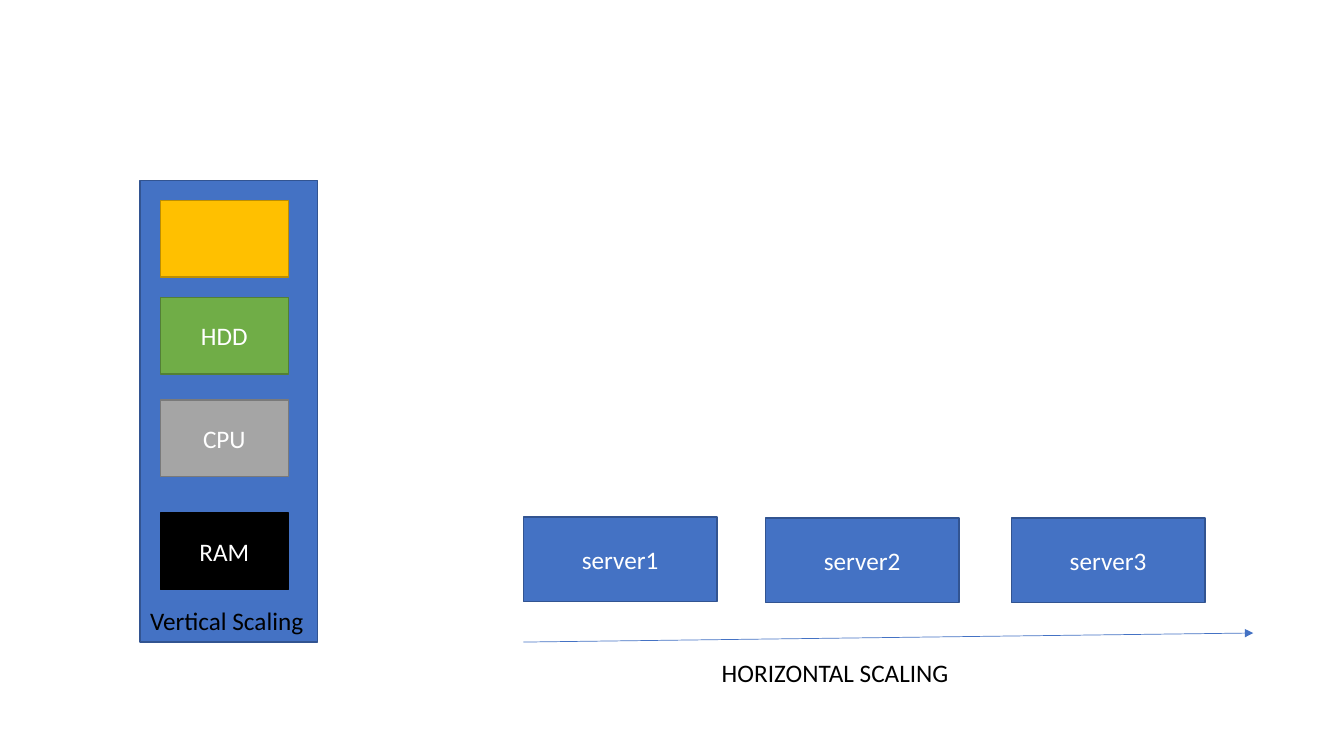
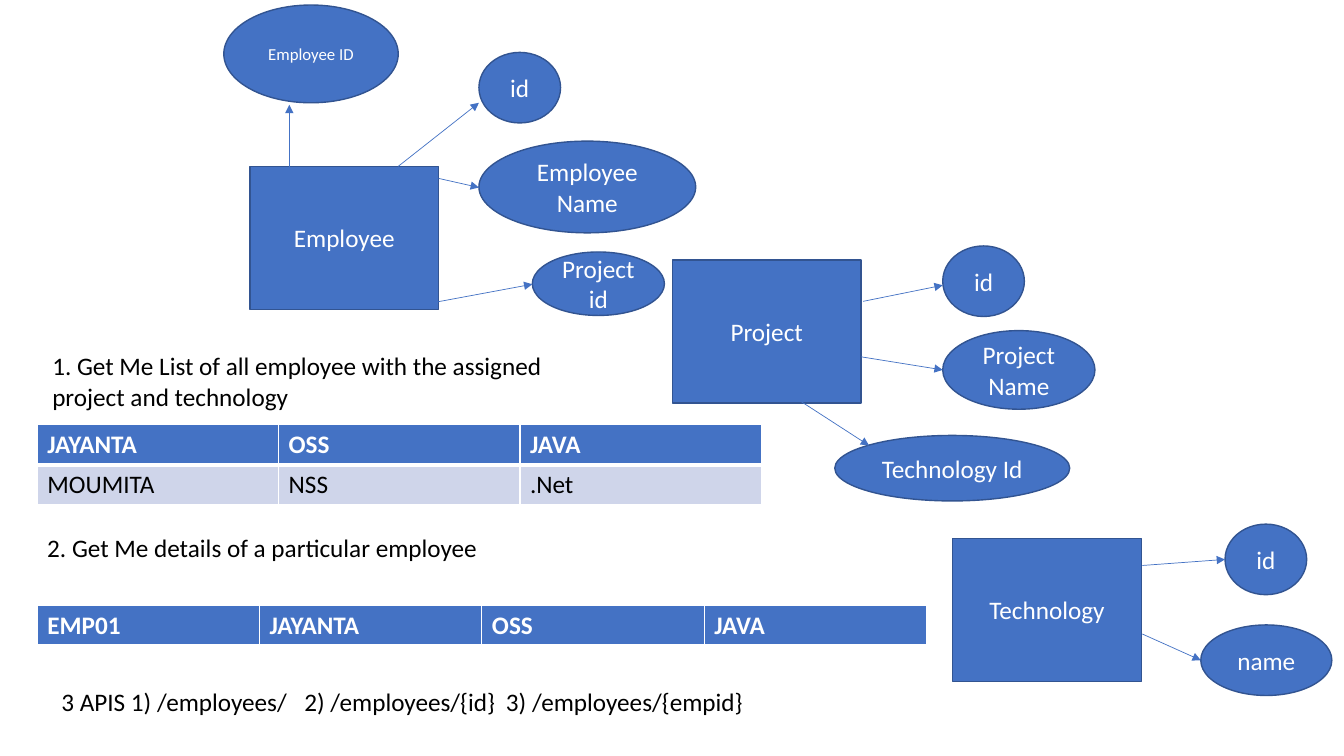
"""Build two slides: server scaling, and an employee data model with its queries."""
from lxml import etree
from pptx import Presentation
from pptx import util as u
from pptx.dml.color import RGBColor
from pptx.enum import shapes, text
from pptx.oxml import ns

FONT = "Calibri"
BLUE, NAVY, PALE = "4472C4", "325491", "CFD5EA"
WHITE, BLACK = "FFFFFF", "000000"
RECT, OVAL = shapes.MSO_SHAPE.RECTANGLE, shapes.MSO_SHAPE.OVAL

TOWER = (1.39, 1.79, 1.76, 4.58)
PART_LEFT, PART_SIZE = 1.59, (1.27, 0.76)
PARTS = [
    ("", 1.99, "FFC000", "BD8E00"),
    ("HDD", 2.95, "70AD47", "538035"),
    ("CPU", 3.97, "A5A5A5", "7A7A7A"),
    ("RAM", 5.09, BLACK, BLACK),
]
SERVER_SIZE = (1.92, 0.84)
SERVERS = [("server1", 5.19, 5.13), ("server2", 7.59, 5.14), ("server3", 10.03, 5.14)]
GROWTH_ARROW = (5.19, 6.37, 12.43, 6.28)
SCALING_LABELS = [
    ("Vertical Scaling", (1.39, 5.96, 2.44, 0.4)),
    ("HORIZONTAL SCALING", (7.06, 6.47, 4.58, 0.4)),
]

ENTITY_SIZE = (1.87, 1.42)
ENTITIES = [("Employee", 2.48, 1.65), ("Project", 6.67, 2.58), ("Technology", 9.45, 5.34)]
ATTRIBUTES = [
    ("Employee ID", (2.22, 0.05, 1.73, 0.97), 12),
    ("id", (4.75, 0.52, 0.81, 0.7), 18),
    ("Employee Name", (4.75, 1.4, 2.15, 0.91), 18),
    ("Project id", (5.28, 2.5, 1.31, 0.63), 18),
    ("id", (9.35, 2.44, 0.81, 0.7), 18),
    ("Project Name", (9.35, 3.28, 1.51, 0.78), 18),
    ("Technology Id", (8.28, 4.32, 2.33, 0.65), 18),
    ("id", (12.15, 5.2, 0.81, 0.7), 18),
    ("name", (11.91, 6.2, 1.3, 0.7), 18),
]
ATTRIBUTE_ARROWS = [
    (2.87, 1.77, 2.87, 1.04),
    (3.95, 1.65, 4.75, 1.02),
    (4.35, 1.77, 4.75, 1.86),
    (4.31, 3, 5.28, 2.82),
    (8.56, 2.99, 9.35, 2.83),
    (8.54, 3.54, 9.35, 3.67),
    (7.94, 3.98, 8.62, 4.42),
    (11.33, 5.61, 12.15, 5.55),
    (11.33, 6.29, 11.91, 6.55),
]
QUERIES = [
    ("1. Get Me List of all employee with the assigned project and technology",
     (0.42, 3.43, 5.71, 0.71), ()),
    ("2. Get Me details of a particular employee", (0.37, 5.23, 5.71, 0.4), ()),
    ("3 APIS 1) /employees/\t2) /employees/{id}\t3) /employees/{empid}",
     (0.51, 6.76, 8.12, 0.4), (2.41, 4.41)),
]
ROW_HEIGHT = 0.4
TABLES = [
    ((0.37, 4.21, 7.18), [("JAYANTA", "OSS", "JAVA"), ("MOUMITA", "NSS", ".Net")]),
    ((0.37, 6.01, 8.82), [("EMP01", "JAYANTA", "OSS", "JAVA")]),
]


def color(value):
    return RGBColor.from_string(value)


def inches(values):
    return [u.Inches(value) for value in values]


def child(parent, tag, **attributes):
    return etree.SubElement(parent, ns.qn(tag), attributes)


def write(frame, words, size=18, ink=BLACK, bold=False, align=text.PP_ALIGN.LEFT, tabs=()):
    para = frame.paragraphs[0]
    para.alignment = align
    span = para.add_run()
    span.text = words
    span.font.name, span.font.size, span.font.bold = FONT, u.Pt(size), bold
    span.font.color.rgb = color(ink)
    if tabs:
        stops = child(para._p.get_or_add_pPr(), "a:tabLst")
        for stop in inches(tabs):
            child(stops, "a:tab", pos=str(stop), algn="l")


def add_box(page, kind, place, words="", fill=BLUE, edge=NAVY, size=18):
    box = page.shapes.add_shape(kind, *inches(place))
    box.shadow.inherit = False
    box.fill.solid()
    box.fill.fore_color.rgb = color(fill)
    box.line.color.rgb = color(edge)
    box.line.width = u.Pt(1)
    if words:
        box.text_frame.vertical_anchor = text.MSO_ANCHOR.MIDDLE
        write(box.text_frame, words, size=size, ink=WHITE, align=text.PP_ALIGN.CENTER)


def add_label(page, place, words, tabs=()):
    frame = page.shapes.add_textbox(*inches(place)).text_frame
    frame.word_wrap = True
    frame.auto_size = text.MSO_AUTO_SIZE.SHAPE_TO_FIT_TEXT
    write(frame, words, tabs=tabs)


def add_arrow(page, ends):
    arrow = page.shapes.add_connector(shapes.MSO_CONNECTOR.STRAIGHT, *inches(ends))
    arrow.line.color.rgb = color(BLUE)
    arrow.line.width = u.Pt(0.5)
    child(arrow.line._get_or_add_ln(), "a:tailEnd", type="triangle")
    child(arrow._element.spPr, "a:effectLst")


def add_borders(cell, header):
    properties = cell._tc.get_or_add_tcPr()
    widths = {"L": 1, "R": 1, "T": 1 if header else 3, "B": 3 if header else 1}
    for side, width in widths.items():
        border = child(properties, f"a:ln{side}", w=str(u.Pt(width)))
        child(child(border, "a:solidFill"), "a:srgbClr", val=WHITE)


def add_grid(page, place, rows):
    left, top, width = place
    size = (left, top, width, ROW_HEIGHT * len(rows))
    grid = page.shapes.add_table(len(rows), len(rows[0]), *inches(size)).table
    for row, values in enumerate(rows):
        header = row == 0
        for column, value in enumerate(values):
            cell = grid.cell(row, column)
            add_borders(cell, header)
            cell.fill.solid()
            cell.fill.fore_color.rgb = color(BLUE if header else PALE)
            write(cell.text_frame, value, ink=WHITE if header else BLACK, bold=header)


def build_scaling(page):
    add_box(page, RECT, TOWER)
    for name, top, fill, edge in PARTS:
        add_box(page, RECT, (PART_LEFT, top, *PART_SIZE), name, fill, edge)
    for name, left, top in SERVERS:
        add_box(page, RECT, (left, top, *SERVER_SIZE), name)
    add_arrow(page, GROWTH_ARROW)
    for words, place in SCALING_LABELS:
        add_label(page, place, words)


def build_model(page):
    for name, left, top in ENTITIES:
        add_box(page, RECT, (left, top, *ENTITY_SIZE), name)
    for name, place, size in ATTRIBUTES:
        add_box(page, OVAL, place, name, size=size)
    for ends in ATTRIBUTE_ARROWS:
        add_arrow(page, ends)
    for words, place, tabs in QUERIES:
        add_label(page, place, words, tabs)
    for place, rows in TABLES:
        add_grid(page, place, rows)


deck = Presentation()
deck.slide_width, deck.slide_height = inches((13.33, 7.5))
for build in (build_scaling, build_model):
    build(deck.slides.add_slide(deck.slide_layouts[6]))
deck.save("out.pptx")
